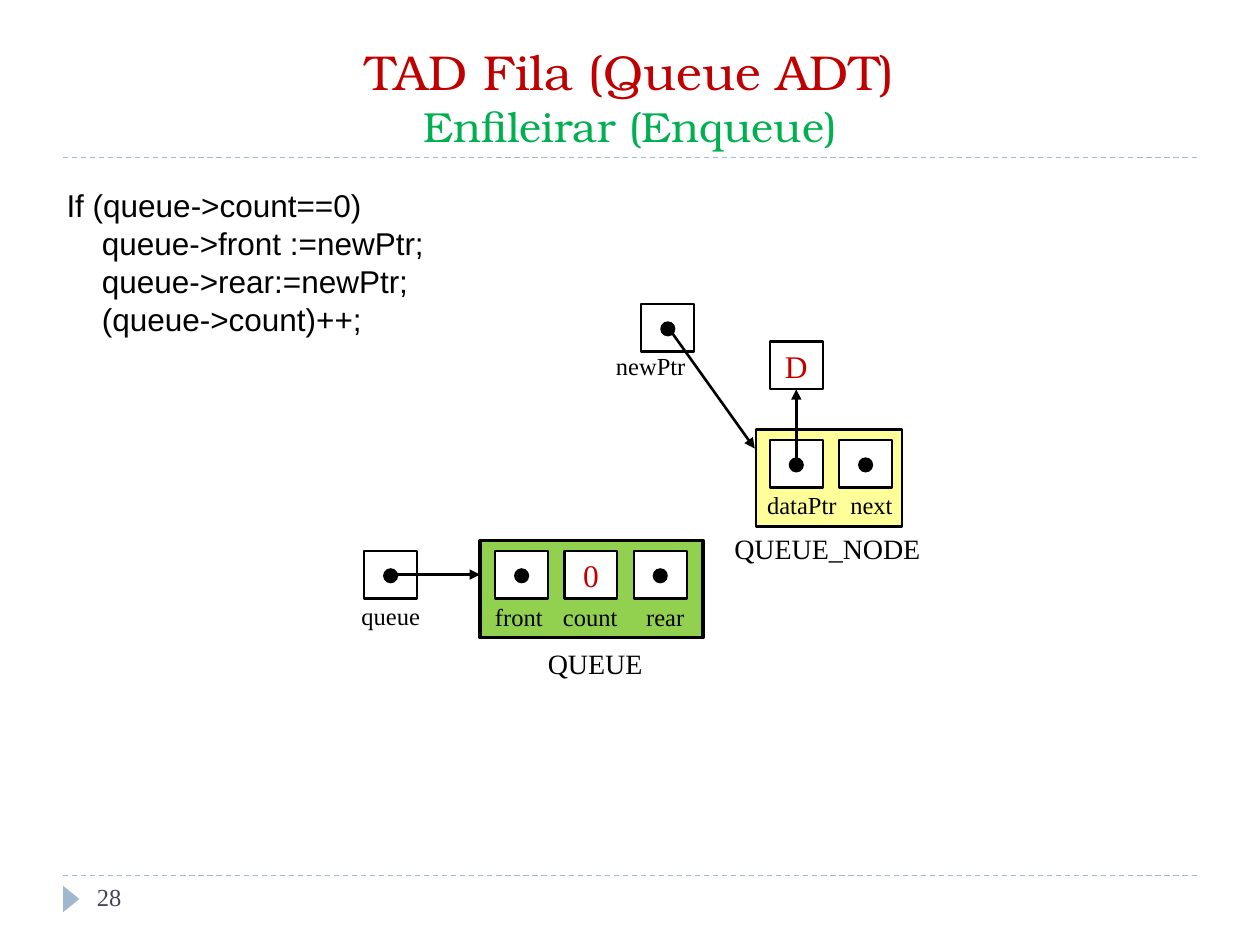
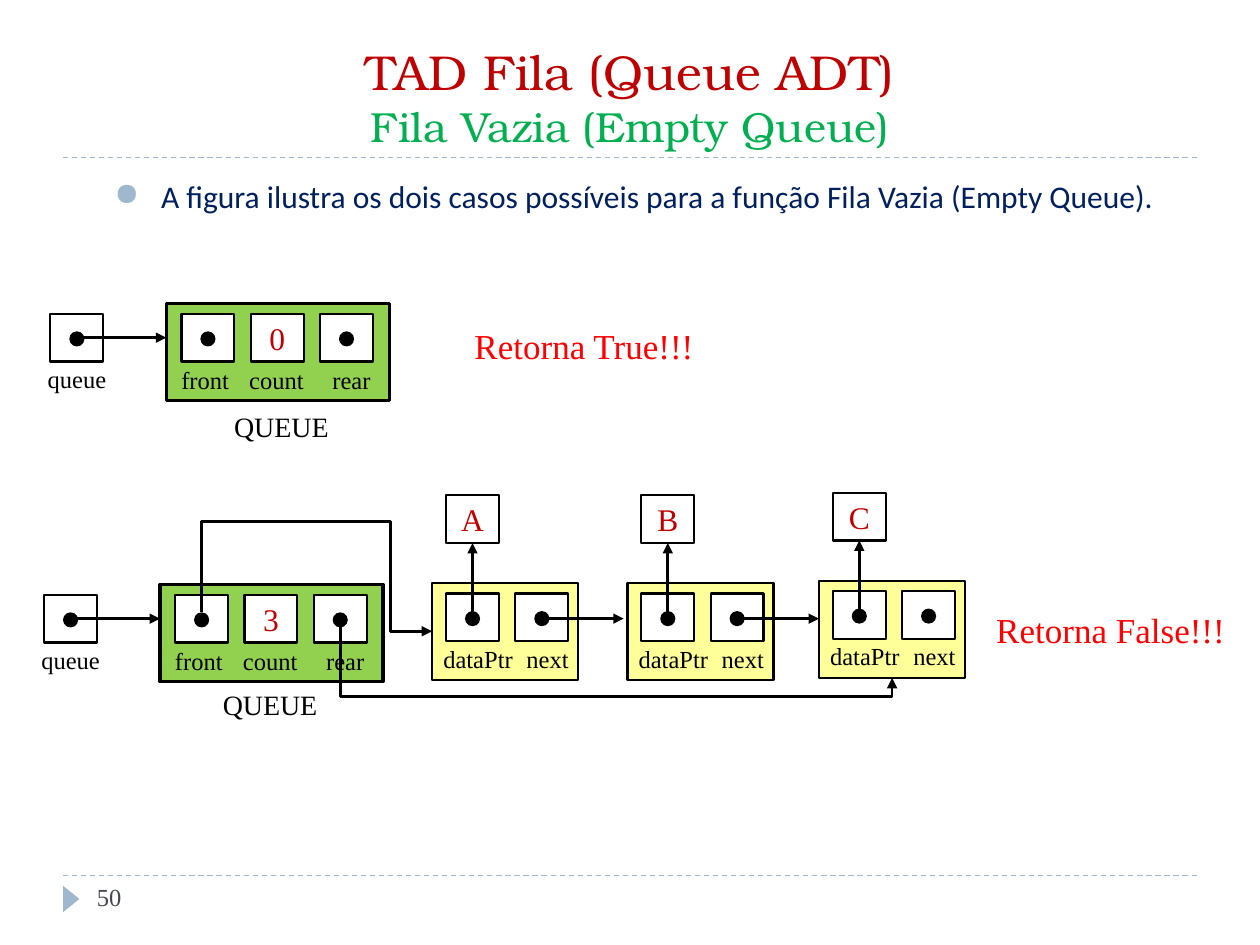
from dataclasses import dataclass

from lxml import etree
from pptx import Presentation
from pptx import util as u
from pptx.dml.color import RGBColor
from pptx.enum import dml, shapes, text
from pptx.oxml import ns


@dataclass(frozen=True)
class Theme:
    black: str = "000000"
    white: str = "FFFFFF"
    red: str = "C00000"
    alert: str = "FF0000"
    green: str = "00B050"
    record: str = "92D050"
    node: str = "FFFF99"
    accent: str = "9FB8CD"
    page: str = "464653"
    navy: str = "002060"
    title_font: str = "TeX Gyre Bonum"
    serif: str = "Times New Roman"
    code_font: str = "Arial"
    body_font: str = "Calibri"
    title_size: int = 28
    subtitle_size: int = 24
    alert_size: int = 20
    body_size: int = 18
    caption_size: int = 16
    label_size: int = 14
    thin: float = 0.75
    outline: float = 1.25
    arrow: float = 1.5
    thick: float = 2


T = Theme()
CELL_W, CELL_H, DOT = 0.42, 0.38, 0.12
LABEL_W = {"front": 0.58, "count": 0.64, "rear": 0.51, "queue": 0.67,
           "newPtr": 0.76, "dataPtr": 0.76, "next": 0.54}


def rgb(color):
    return RGBColor.from_string(color)


def add_run(p, words, size, color, font=T.serif):
    r = p.add_run()
    r.text = words
    r.font.size = u.Pt(size)
    r.font.name = font
    r.font.color.rgb = rgb(color)


def text_box(s, x, y, w, h, words, size, color=T.black, font=T.serif,
             align=text.PP_ALIGN.LEFT, wrap=False):
    sp = s.shapes.add_textbox(*map(u.Inches, (x, y, w, h)))
    tf = sp.text_frame
    tf.word_wrap = wrap
    p = tf.paragraphs[0]
    p.alignment = align
    add_run(p, words, size, color, font)
    return sp


def preset(s, kind, x, y, w, h, fill, line=None):
    sp = s.shapes.add_shape(kind, *map(u.Inches, (x, y, w, h)))
    sp.shadow.inherit = False
    sp.fill.solid()
    sp.fill.fore_color.rgb = rgb(fill)
    if line:
        sp.line.color.rgb = rgb(T.black)
        sp.line.width = u.Pt(line)
    else:
        sp.line.fill.background()
    return sp


def box(s, x, y, w, h, fill=T.white, line=T.outline):
    return preset(s, shapes.MSO_SHAPE.RECTANGLE, x, y, w, h, fill, line)


def connector(s, x1, y1, x2, y2, color=T.black, width=T.arrow,
              kind=shapes.MSO_CONNECTOR.STRAIGHT):
    c = s.shapes.add_connector(kind, *map(u.Inches, (x1, y1, x2, y2)))
    c.line.color.rgb = rgb(color)
    c.line.width = u.Pt(width)
    etree.SubElement(c._element.spPr, ns.qn("a:effectLst"))
    return c


def arrow(s, x1, y1, x2, y2, **style):
    c = connector(s, x1, y1, x2, y2, **style)
    etree.SubElement(c.line._get_or_add_ln(), ns.qn("a:tailEnd"), type="triangle")
    return c


def elbow_arrow(s, x1, y1, x2, y2, *adjust):
    w, h = y2 - y1, x2 - x1
    left, top = (x1 + x2 - w) / 2, (y1 + y2 - h) / 2
    c = arrow(s, left, top, left + w, top + h, kind=shapes.MSO_CONNECTOR.ELBOW)
    spPr = c._element.spPr
    xfrm = spPr.find(ns.qn("a:xfrm"))
    xfrm.set("rot", "16200000")
    xfrm.set("flipH", "1")
    geom = spPr.find(ns.qn("a:prstGeom"))
    geom.set("prst", f"bentConnector{len(adjust) + 2}")
    guides = geom.find(ns.qn("a:avLst"))
    if guides is None:
        guides = etree.SubElement(geom, ns.qn("a:avLst"))
    for i, value in enumerate(adjust, 1):
        etree.SubElement(guides, ns.qn("a:gd"), name=f"adj{i}",
                         fmla=f"val {round(value * 100000)}")


def label(s, x, y, words):
    text_box(s, x, y, LABEL_W[words], 0.34, words, T.label_size)


def value_cell(s, x, y, value):
    sp = box(s, x, y, CELL_W, CELL_H)
    tf = sp.text_frame
    tf.vertical_anchor = text.MSO_ANCHOR.MIDDLE
    tf.word_wrap = False
    p = tf.paragraphs[0]
    p.alignment = text.PP_ALIGN.CENTER
    add_run(p, value, T.body_size, T.red)
    return sp


def pointer_cell(s, x, y):
    box(s, x, y, CELL_W, CELL_H)
    preset(s, shapes.MSO_SHAPE.OVAL, x + 0.15, y + 0.14, DOT, DOT, T.black)


def queue_record(s, x, y, count, caption_x=0.44, caption_y=0.79):
    text_box(s, x + caption_x, y + caption_y, 0.96, 0.37, "QUEUE", T.caption_size)
    box(s, x, y, 1.77, 0.77, T.record, T.thick)
    first, step, top = 0.12, 0.55, y + 0.08
    pointer_cell(s, x + first, top)
    value_cell(s, x + first + step, top, count)
    pointer_cell(s, x + first + 2 * step, top)
    for dx, words in ((0.02, "front"), (0.56, "count"), (1.22, "rear")):
        label(s, x + dx, y + 0.44, words)
    pointer_cell(s, x - 0.92, top)
    label(s, x - 1.04, y + 0.43, "queue")
    arrow(s, x - 0.71, y + 0.27, x, y + 0.27)


def queue_node(s, x, y, value, linked=False):
    box(s, x, y, 1.16, 0.77, T.node)
    for dx, label_dx, words in ((0.11, -0.01, "dataPtr"), (0.66, 0.65, "next")):
        pointer_cell(s, x + dx, y + 0.08)
        label(s, x + label_dx, y + 0.43, words)
    data = value_cell(s, x + 0.11, y - 0.7, value)
    arrow(s, x + 0.32, y + 0.27, x + 0.32, y - 0.32).end_connect(data, 2)
    if linked:
        arrow(s, x + 0.89, y + 0.28, x + 1.52, y + 0.28)


def new_pointer(s, x, y):
    pointer_cell(s, x, y)
    label(s, x - 0.3, y + 0.33, "newPtr")
    arrow(s, x + 0.25, y + 0.24, x + 0.9, y + 1.15)


def code_block(s, x, y, w, h, lines):
    tf = text_box(s, x, y, w, h, lines[0], T.body_size, font=T.code_font).text_frame
    for line in lines[1:]:
        p = tf.add_paragraph()
        p._p.get_or_add_pPr().set("marL", str(u.Inches(0.28)))
        add_run(p, line, T.body_size, T.black, T.code_font)


def bullet(s, x, y, w, h, words):
    sp = text_box(s, x, y, w, h, words, T.body_size, T.navy, T.body_font,
                  text.PP_ALIGN.JUSTIFY, True)
    pPr = sp.text_frame.paragraphs[0]._p.get_or_add_pPr()
    pPr.set("marL", str(u.Inches(0.37)))
    pPr.set("indent", str(u.Inches(-0.37)))
    color = etree.SubElement(pPr, ns.qn("a:buClr"))
    etree.SubElement(color, ns.qn("a:srgbClr"), val=T.accent)
    etree.SubElement(pPr, ns.qn("a:buChar"), char="●")


def verdict(s, x, y, w, words):
    text_box(s, x, y, w, 0.44, words, T.alert_size, T.alert,
             align=text.PP_ALIGN.CENTER)


def base_slide(prs, subtitle, page):
    s = prs.slides.add_slide(prs.slide_layouts[5])
    for y in (6.95, 1.25):
        c = connector(s, 0.5, y, 9.5, y, T.accent, T.thin)
        c.line.dash_style = dml.MSO_LINE.DASH
    marker = preset(s, shapes.MSO_SHAPE.ISOSCELES_TRIANGLE,
                    0.46, 7.07, 0.21, 0.13, T.accent)
    marker.rotation = 90
    sp = s.shapes.title
    sp.left, sp.top, sp.width, sp.height = map(u.Inches, (0.5, 0.25, 9, 1))
    tf = sp.text_frame
    tf.auto_size = text.MSO_AUTO_SIZE.NONE
    tf.vertical_anchor = text.MSO_ANCHOR.BOTTOM
    p = tf.paragraphs[0]
    p.alignment = text.PP_ALIGN.CENTER
    add_run(p, "TAD Fila (Queue ADT)", T.title_size, T.red, T.title_font)
    p.add_line_break()
    add_run(p, subtitle, T.subtitle_size, T.green, T.title_font)
    text_box(s, 0.67, 6.95, 2.17, 0.4, page, T.label_size, T.page, wrap=True)
    return s


def enqueue_slide(prs):
    s = base_slide(prs, "Enfileirar (Enqueue)", "28")
    code_block(s, 0.43, 1.43, 3.06, 1.31, (
        "If (queue->count==0)", "queue->front :=newPtr;",
        "queue->rear:=newPtr;", "(queue->count)++;"))
    queue_record(s, 3.81, 4.29, "0")
    text_box(s, 5.73, 4.17, 1.69, 0.37, "QUEUE_NODE", T.caption_size)
    queue_node(s, 6, 3.41, "D")
    new_pointer(s, 5.09, 2.41)


def empty_queue_slide(prs):
    s = base_slide(prs, "Fila Vazia (Empty Queue)", "50")
    bullet(s, 0.81, 1.36, 8.5, 0.46,
           "A figura ilustra os dois casos possíveis para a função "
           "Fila Vazia (Empty Queue).")
    queue_record(s, 1.32, 2.41, "0")
    verdict(s, 3.66, 2.53, 1.95, "Retorna True!!!")
    queue_record(s, 1.27, 4.64, "3", 0.4, 0.77)
    for x, y, value, linked in ((3.43, 4.63, "A", True), (4.98, 4.63, "B", True),
                                (6.5, 4.61, "C", False)):
        queue_node(s, x, y, value, linked)
    elbow_arrow(s, 1.6, 4.86, 3.43, 5.01, -4.8, 0.82)
    elbow_arrow(s, 2.7, 4.97, 7.08, 5.38, 1.36)
    verdict(s, 7.8, 4.78, 2.03, "Retorna False!!!")


def main():
    prs = Presentation()
    prs.slide_width, prs.slide_height = u.Inches(10), u.Inches(7.5)
    enqueue_slide(prs)
    empty_queue_slide(prs)
    prs.save("out.pptx")


if __name__ == "__main__":
    main()
